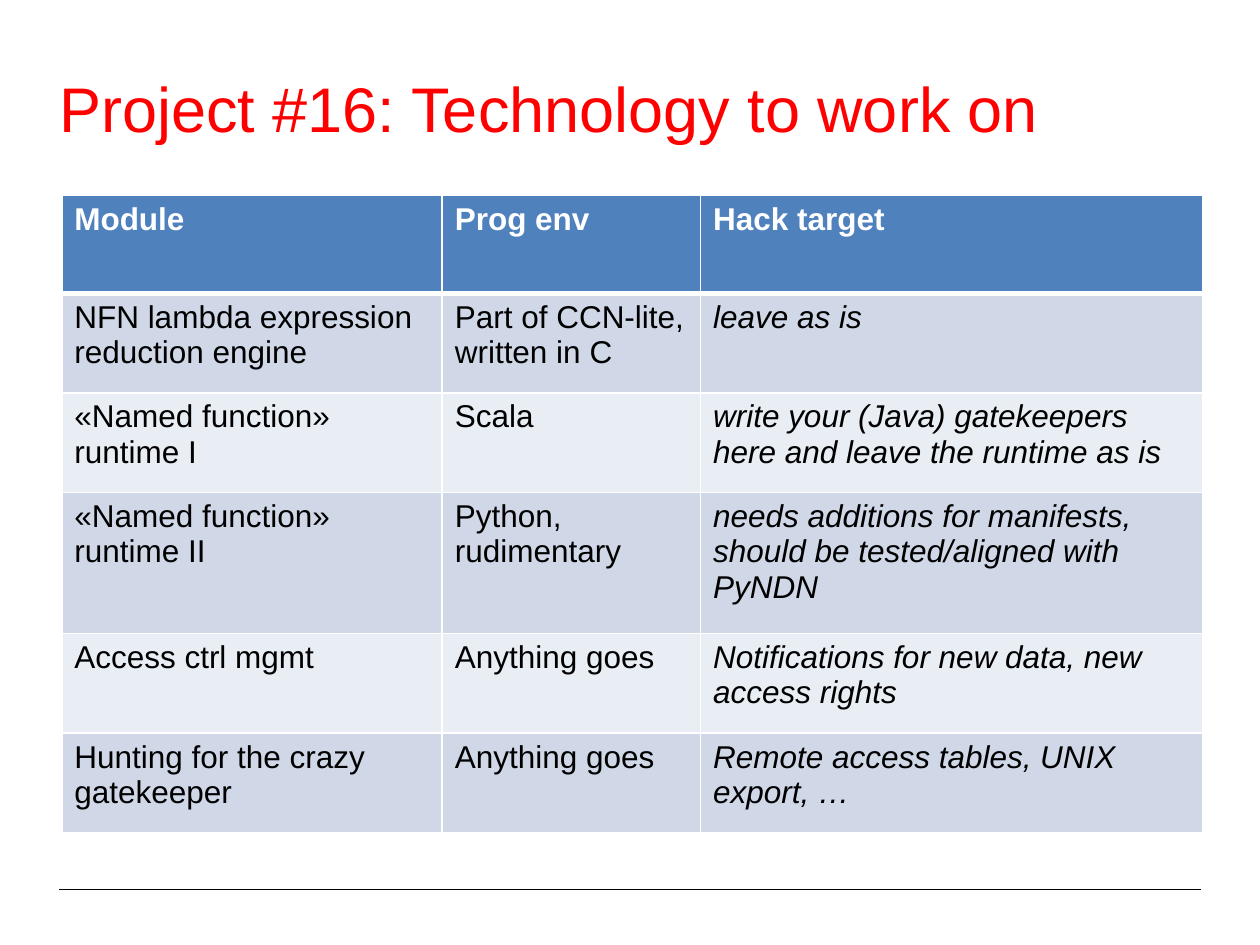
import dataclasses

import pptx
import pptx.dml.color
import pptx.enum.shapes
import pptx.enum.text
import pptx.oxml
import pptx.oxml.ns
import pptx.util


@dataclasses.dataclass(frozen=True)
class Theme:
    font: str = "Arial"
    title_size: float = 36
    table_size: float = 18
    title: str = "FF0000"
    text: str = "000000"
    header_text: str = "FFFFFF"
    header_fill: str = "4F81BD"
    bands: tuple = ("D0D8E8", "E9EDF4")
    border: str = "FFFFFF"
    rule: str = "000000"


@dataclasses.dataclass(frozen=True)
class Box:
    left: float
    top: float
    width: float
    height: float

    def emu(self):
        return [pptx.util.Inches(value) for value in dataclasses.astuple(self)]


THEME = Theme()
SLIDE_WIDTH, SLIDE_HEIGHT = 10, 7.5
COLUMN_WIDTHS = (3.02, 2.05, 3.99)
ROW_HEIGHTS = (0.78, 0.79, 0.79, 1.12, 0.79, 0.79)
ROWS = (
    ("Module", "Prog env", "Hack target"),
    ("NFN lambda expression reduction engine", "Part of CCN-lite, written in C", "leave as is"),
    ("«Named function» runtime I", "Scala",
     "write your (Java) gatekeepers here and leave the runtime as is"),
    ("«Named function» runtime II", "Python, rudimentary",
     "needs additions for manifests, should be tested/aligned with PyNDN"),
    ("Access ctrl mgmt", "Anything goes", "Notifications for new data, new access rights"),
    ("Hunting for the crazy gatekeeper", "Anything goes", "Remote access tables, UNIX export, …"),
)


def color(value):
    return pptx.dml.color.RGBColor.from_string(value)


def write_text(text_frame, text, *, size, fill, bold=False, italic=False):
    text_frame.word_wrap = True
    run = text_frame.paragraphs[0].add_run()
    run.text = text
    run.font.name = THEME.font
    run.font.size = pptx.util.Pt(size)
    run.font.bold = bold
    run.font.italic = italic
    run.font.color.rgb = color(fill)


def set_borders(cell, **widths):
    """Draw the cell's edges; widths in points are keyed by L, R, T and B."""
    properties = cell._tc.get_or_add_tcPr()
    for index, edge in enumerate("LRTB"):
        width = pptx.util.Pt(widths.get(edge, 1))
        properties.insert(index, pptx.oxml.parse_xml(
            f'<a:ln{edge} {pptx.oxml.ns.nsdecls("a")} w="{width}"><a:solidFill>'
            f'<a:srgbClr val="{THEME.border}"/></a:solidFill></a:ln{edge}>'))


def add_title(slide, box, text):
    text_frame = slide.shapes.add_textbox(*box.emu()).text_frame
    text_frame.margin_left = text_frame.margin_right = 0
    text_frame.margin_top = text_frame.margin_bottom = 0
    text_frame.vertical_anchor = pptx.enum.text.MSO_ANCHOR.MIDDLE
    write_text(text_frame, text, size=THEME.title_size, fill=THEME.title)


def add_module_table(slide, box):
    table = slide.shapes.add_table(len(ROWS), len(COLUMN_WIDTHS), *box.emu()).table
    for column, width in zip(table.columns, COLUMN_WIDTHS):
        column.width = pptx.util.Inches(width)
    for row, height in zip(table.rows, ROW_HEIGHTS):
        row.height = pptx.util.Inches(height)

    for row_index, texts in enumerate(ROWS):
        header = row_index == 0
        fill = THEME.header_fill if header else THEME.bands[(row_index - 1) % 2]
        for column_index, text in enumerate(texts):
            cell = table.cell(row_index, column_index)
            cell.fill.solid()
            cell.fill.fore_color.rgb = color(fill)
            # A thick line parts the header from the body
            set_borders(cell, T=3 if row_index == 1 else 1, B=3 if header else 1)
            write_text(cell.text_frame, text, size=THEME.table_size,
                       fill=THEME.header_text if header else THEME.text,
                       bold=header, italic=not header and column_index == 2)


def add_footer_rule(slide, box):
    left, top, width, height = box.emu()
    rule = slide.shapes.add_connector(
        pptx.enum.shapes.MSO_CONNECTOR.STRAIGHT, left, top, left + width, top + height)
    rule.line.width = pptx.util.Pt(0.25)
    rule.line.color.rgb = color(THEME.rule)
    rule._element.spPr.append(
        pptx.oxml.parse_xml(f'<a:effectLst {pptx.oxml.ns.nsdecls("a")}/>'))


def main():
    presentation = pptx.Presentation()
    presentation.slide_width = pptx.util.Inches(SLIDE_WIDTH)
    presentation.slide_height = pptx.util.Inches(SLIDE_HEIGHT)
    slide = presentation.slides.add_slide(presentation.slide_layouts[6])

    margin = 0.47
    content_width = SLIDE_WIDTH - 2 * margin
    add_footer_rule(slide, Box(margin, 7.06, content_width, 0))
    add_title(slide, Box(margin, 0.44, content_width, 0.83),
              "Project #16: Technology to work on")
    add_module_table(slide, Box(0.49, 1.55, sum(COLUMN_WIDTHS), sum(ROW_HEIGHTS)))

    presentation.save("out.pptx")


if __name__ == "__main__":
    main()
